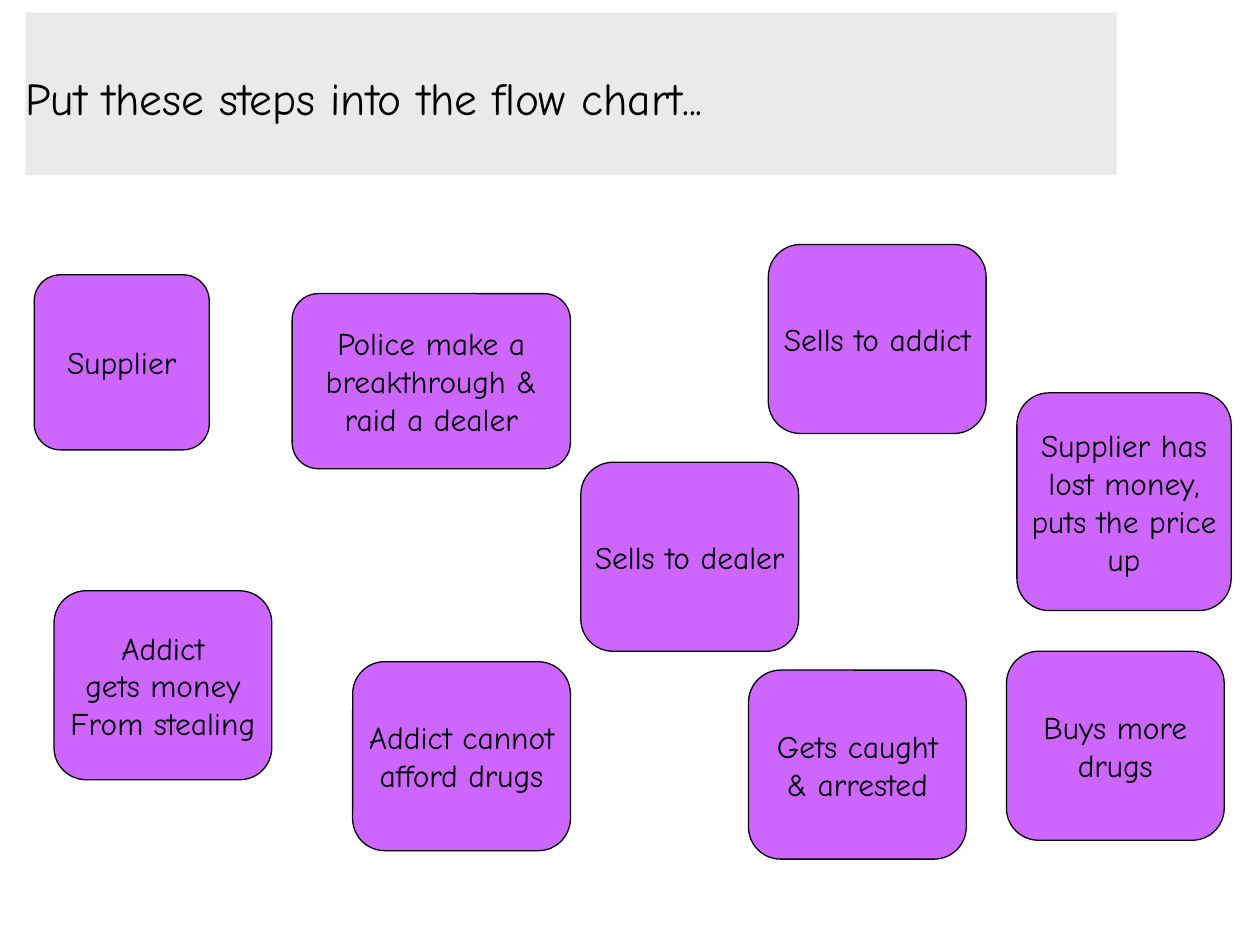
"""Build a slide of drug supply steps to be sorted into a flow chart."""
from pptx import Presentation
from pptx.dml.color import RGBColor
from pptx.enum.shapes import MSO_SHAPE
from pptx.enum.text import MSO_ANCHOR, PP_ALIGN
from pptx.util import Cm, Pt

ROUNDED = MSO_SHAPE.ROUNDED_RECTANGLE
MIDDLE = MSO_ANCHOR.MIDDLE
LEFT, CENTER = PP_ALIGN.LEFT, PP_ALIGN.CENTER

FONT = "Comic Neue"
COLORS = {"banner": "EAEAEA", "step": "CC66FF", "ink": "000000"}
TITLE = "Put these steps into the flow chart..."

# text, left, top, width, height
WRAPPED_STEPS = [
    ("Supplier", 0.69, 5.54, 3.53, 3.53),
    ("Supplier has lost money, puts the price up", 20.5, 7.92, 4.32, 4.39),
    ("Police make a breakthrough & raid a dealer", 5.89, 5.92, 5.61, 3.53),
]
# text, left, top
STEP_SIZE = (4.39, 3.81)
FIXED_STEPS = [
    ("Gets caught\n& arrested", 15.09, 13.51),
    ("Buys more\ndrugs", 20.29, 13.13),
    ("Sells to addict", 15.49, 4.93),
    ("Sells to dealer", 11.71, 9.32),
    ("Addict\ngets money\nFrom stealing", 1.09, 11.91),
    ("Addict cannot\nafford drugs", 7.11, 13.34),
]


def color(name):
    return RGBColor.from_string(COLORS[name])


def paint(shape, name):
    shape.fill.solid()
    shape.fill.fore_color.rgb = color(name)


def set_text(shape, text, size, align, margins, wrap):
    frame = shape.text_frame
    frame.text = text
    frame.word_wrap = wrap
    frame.vertical_anchor = MIDDLE
    frame.margin_left, frame.margin_top, frame.margin_right, frame.margin_bottom = map(Cm, margins)
    for para in frame.paragraphs:
        para.alignment = align
        for span in para.runs:
            span.font.name = FONT
            span.font.size = Pt(size)
            span.font.color.rgb = color("ink")


def add_title(slide):
    title = slide.shapes.title
    title.left, title.top, title.width, title.height = map(Cm, (0.51, 0.25, 22, 3.28))
    paint(title, "banner")
    set_text(title, TITLE, 26, LEFT, (0, 0, 0.36, 0), True)
    title.text_frame.paragraphs[0].line_spacing = 1.12


def add_step(slide, text, place, rounding, margins, wrap):
    box = slide.shapes.add_shape(ROUNDED, *map(Cm, place))
    box.adjustments[0] = rounding
    box.shadow.inherit = False
    paint(box, "step")
    box.line.color.rgb = color("ink")
    box.line.width = Pt(0.75)
    set_text(box, text, 18, CENTER, margins, wrap)


def main():
    deck = Presentation()
    deck.slide_width, deck.slide_height = Cm(25.4), Cm(19.05)
    slide = deck.slides.add_slide(deck.slide_layouts[5])
    add_title(slide)
    for text, *place in WRAPPED_STEPS:
        add_step(slide, text, place, 0.15, (0.1, 0, 0.1, 0), True)
    for text, *corner in FIXED_STEPS:
        add_step(slide, text, (*corner, *STEP_SIZE), 0.17, (0.25, 0.13, 0.25, 0.13), False)
    deck.save("out.pptx")


if __name__ == "__main__":
    main()
